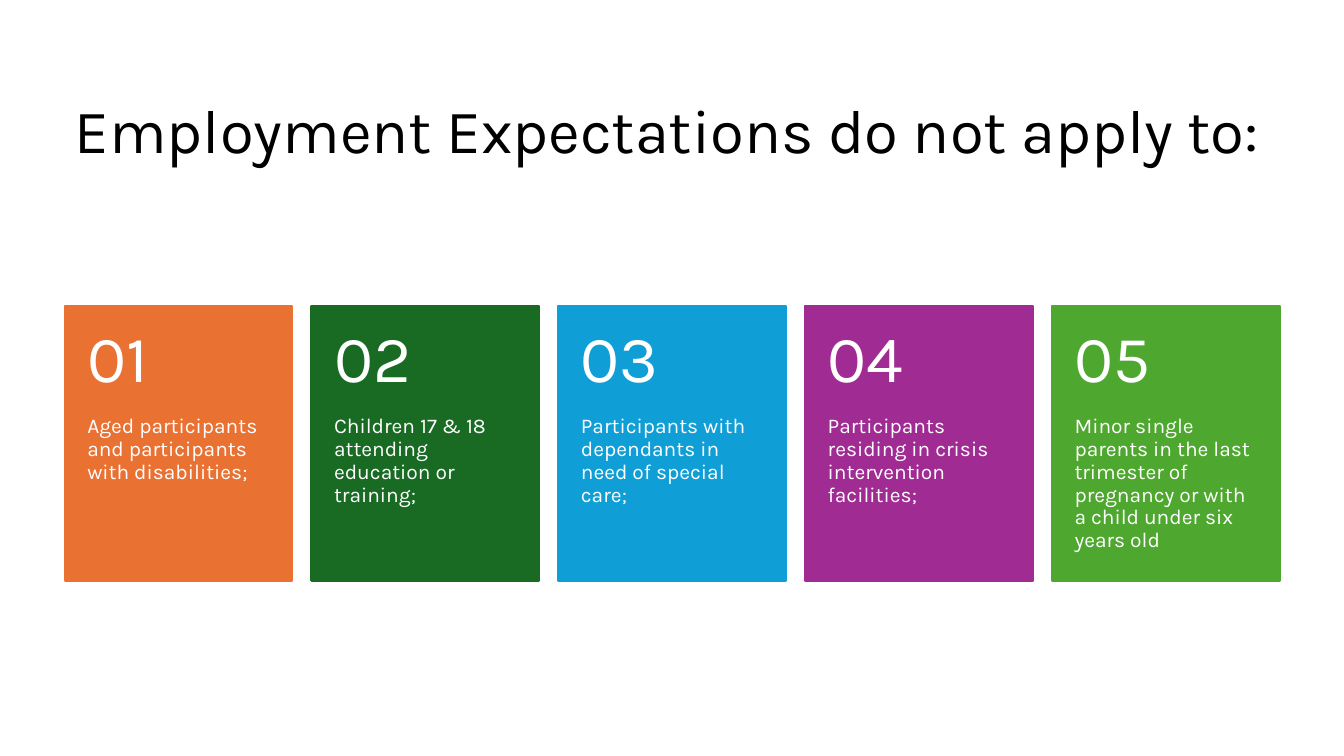
from dataclasses import dataclass

from pptx import Presentation
from pptx.dml.color import RGBColor
from pptx.enum.shapes import MSO_SHAPE as Preset
from pptx.enum.text import MSO_ANCHOR as Anchor, MSO_AUTO_SIZE as AutoSize, PP_ALIGN as Align
from pptx.shapes.shapetree import GroupShapes
from pptx.text.text import TextFrame
from pptx.util import Cm, Pt

FONT = "Karla"
BLACK = RGBColor(0x00, 0x00, 0x00)
WHITE = RGBColor(0xFF, 0xFF, 0xFF)
ORANGE = RGBColor(0xE9, 0x71, 0x32)
DARK_GREEN = RGBColor(0x19, 0x6B, 0x24)
BLUE = RGBColor(0x0F, 0x9E, 0xD5)
PURPLE = RGBColor(0xA0, 0x2B, 0x93)
GREEN = RGBColor(0x4E, 0xA7, 0x2E)

LEFT, TOP = 1.63, 7.72
CARD_WIDTH, CARD_HEIGHT, PITCH = 5.74, 6.91, 6.22
NUMBER_HEIGHT = 2.76
SIDE_INSET = 0.57


@dataclass(frozen=True)
class Exemption:
    group: str
    color: RGBColor


EXEMPTIONS = (
    Exemption("Aged participants and participants with disabilities;", ORANGE),
    Exemption("Children 17 & 18 attending education or training;", DARK_GREEN),
    Exemption("Participants with dependants in need of special care;", BLUE),
    Exemption("Participants residing in crisis intervention facilities;", PURPLE),
    Exemption(
        "Minor single parents in the last trimester of pregnancy "
        "or with a child under six years old",
        GREEN,
    ),
)


def write(frame: TextFrame, words: str, size: int, color: RGBColor, anchor: Anchor) -> None:
    frame.word_wrap = True
    frame.auto_size = AutoSize.NONE
    frame.vertical_anchor = anchor
    paragraph = frame.paragraphs[0]
    paragraph.alignment = Align.LEFT
    paragraph.line_spacing = 0.9
    run = paragraph.add_run()
    run.text = words
    run.font.name = FONT
    run.font.size = Pt(size)
    run.font.color.rgb = color


def add_label(shapes: GroupShapes, left: float, top: float, height: float,
              inset_top: float, inset_bottom: float,
              words: str, size: int, anchor: Anchor) -> None:
    label = shapes.add_textbox(Cm(left), Cm(top), Cm(CARD_WIDTH), Cm(height)).text_frame
    label.margin_left = label.margin_right = Cm(SIDE_INSET)
    label.margin_top, label.margin_bottom = Cm(inset_top), Cm(inset_bottom)
    write(label, words, size, WHITE, anchor)


def add_card(shapes: GroupShapes, index: int, exemption: Exemption) -> None:
    left = LEFT + index * PITCH
    card = shapes.add_shape(Preset.RECTANGLE, Cm(left), Cm(TOP), Cm(CARD_WIDTH), Cm(CARD_HEIGHT))
    card.shadow.inherit = False
    card.fill.solid()
    card.fill.fore_color.rgb = exemption.color
    card.line.color.rgb = exemption.color
    card.line.width = Pt(1.5)
    add_label(shapes, left, TOP + NUMBER_HEIGHT, CARD_HEIGHT - NUMBER_HEIGHT,
              0, 0.91, exemption.group, 15, Anchor.TOP)
    add_label(shapes, left, TOP, NUMBER_HEIGHT,
              0.46, 0.46, f"{index + 1:02}", 47, Anchor.MIDDLE)


def main() -> None:
    deck = Presentation()
    deck.slide_width, deck.slide_height = Cm(33.87), Cm(19.05)
    slide = deck.slides.add_slide(deck.slide_layouts[5])

    heading = slide.shapes.title
    heading.left, heading.top = Cm(LEFT), Cm(1.96)
    heading.width, heading.height = Cm(30.63), Cm(2.82)
    write(heading.text_frame, "Employment Expectations do not apply to:", 44, BLACK, Anchor.MIDDLE)

    cards = slide.shapes.add_group_shape().shapes
    for index, exemption in enumerate(EXEMPTIONS):
        add_card(cards, index, exemption)

    deck.save("out.pptx")


if __name__ == "__main__":
    main()
